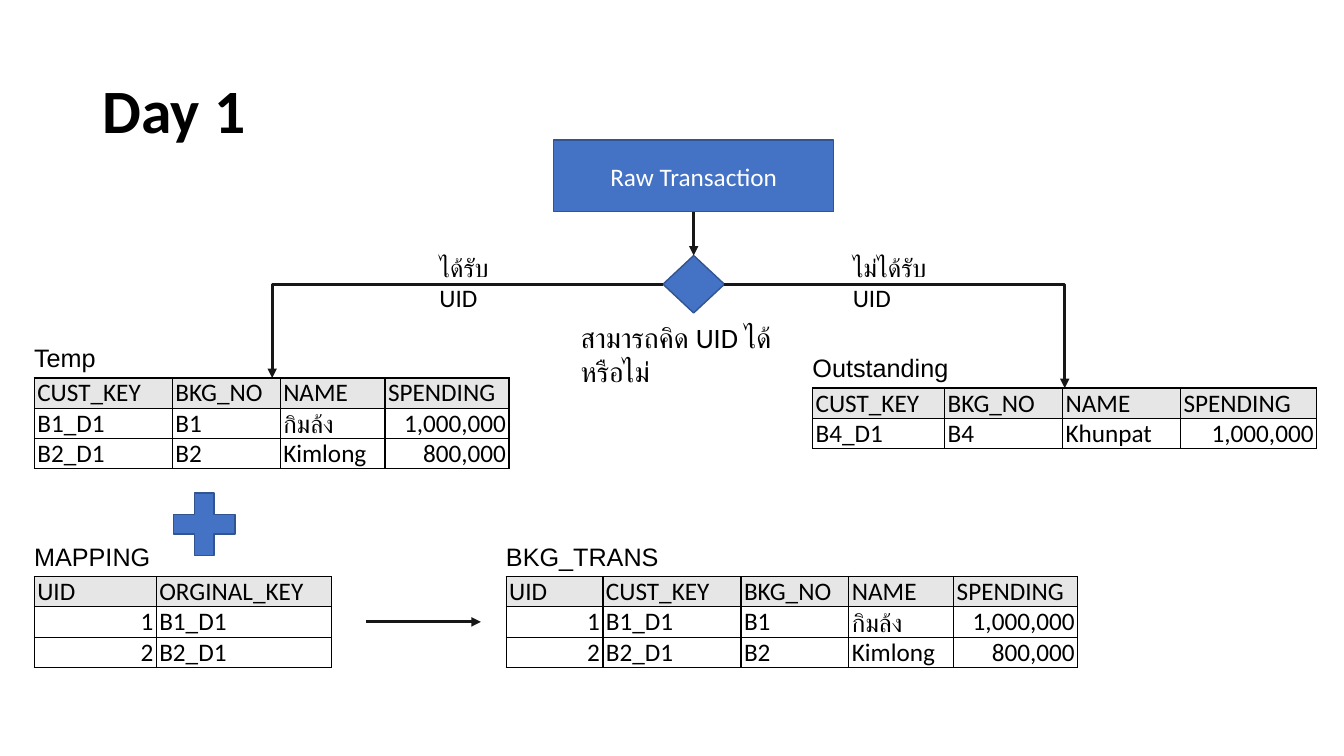
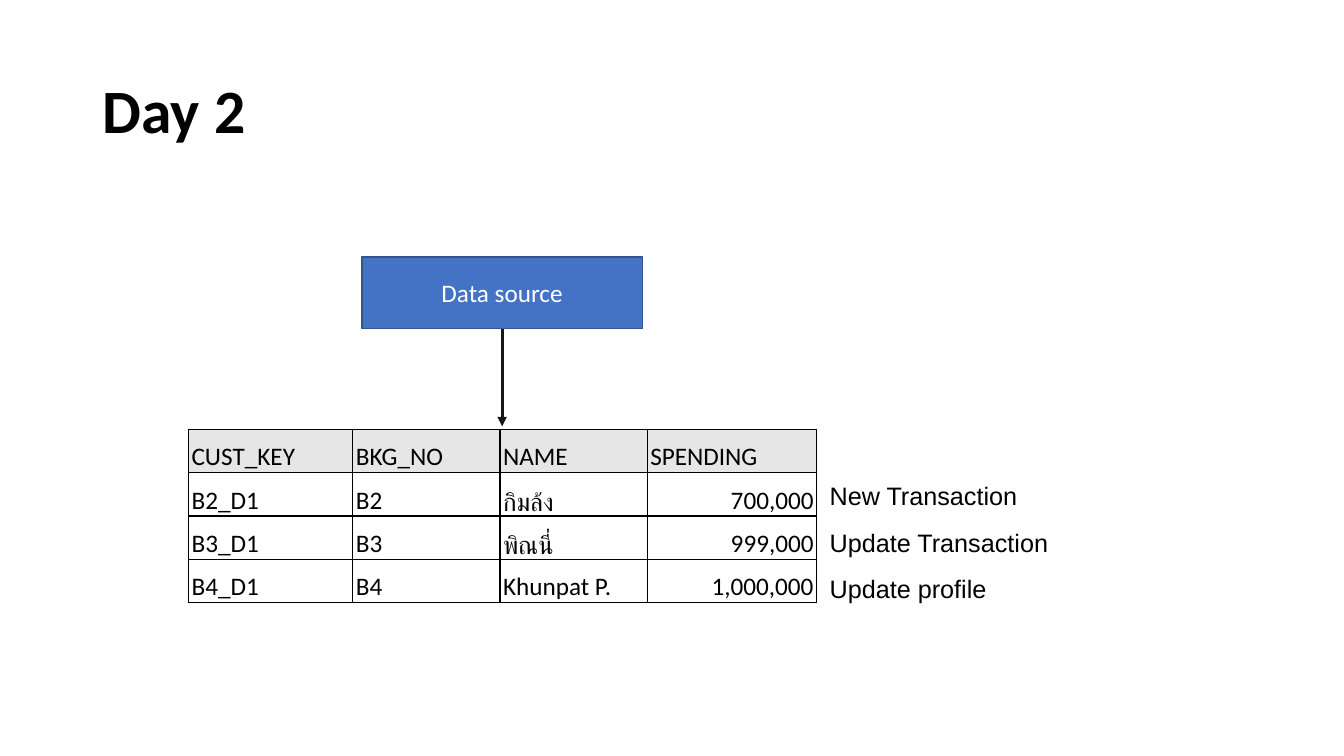
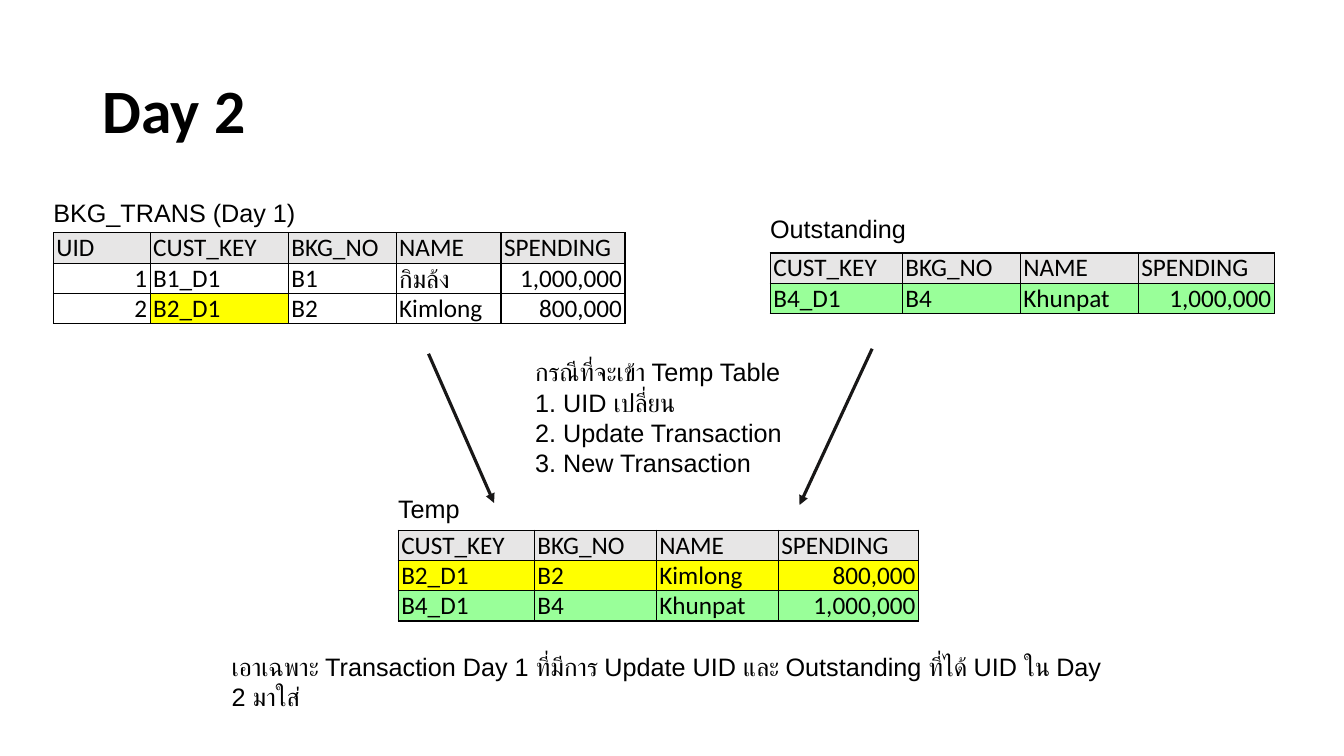
from lxml import etree
from pptx import Presentation
from pptx import util as u
from pptx.dml.color import RGBColor
from pptx.enum import shapes, text
from pptx.oxml.ns import qn

# Shared style
BLACK = RGBColor(0x00, 0x00, 0x00)
WHITE = RGBColor(0xFF, 0xFF, 0xFF)
BLUE = RGBColor(0x44, 0x72, 0xC4)
NAVY = RGBColor(0x32, 0x54, 0x91)
INK = RGBColor(0x18, 0x17, 0x17)
GRAY = RGBColor(0xE7, 0xE6, 0xE6)
YELLOW = RGBColor(0xFF, 0xFF, 0x00)
GREEN = RGBColor(0x99, 0xFF, 0x99)
BODY, LABEL = "Calibri", "Arial"
SHAPE, LINE = shapes.MSO_SHAPE, shapes.MSO_CONNECTOR
SLIDE_W, SLIDE_H = 13.33, 7.5
ROW_H = 0.3
BOX_W, BOX_H = 2.78, 0.71

# Shared table content
HEAD = ["CUST_KEY", "BKG_NO", "NAME", "SPENDING"]
DAY1_ROWS = [["B1_D1", "B1", "กิมล้ง", "1,000,000"],
             ["B2_D1", "B2", "Kimlong", "800,000"]]
OUTSTANDING = [HEAD, ["B4_D1", "B4", "Khunpat", "1,000,000"]]
BKG_TRANS = [["UID"] + HEAD] + [[str(n)] + row for n, row in enumerate(DAY1_ROWS, 1)]
DAY1_COLS = [1.37, 1.07, 1.04, 1.23]
BKG_COLS = [0.96] + DAY1_COLS
OUT_COLS = [1.31, 1.17, 1.17, 1.35]


def inches(*values):
    return [u.Inches(v) for v in values]


def set_font(p, size=18, name=BODY, color=BLACK, bold=False):
    p.font.size, p.font.name, p.font.bold = u.Pt(size), name, bold
    p.font.color.rgb = color


def titled_slide(prs, title):
    s = prs.slides.add_slide(prs.slide_layouts[5])
    sp = s.shapes.title
    sp.left, sp.top, sp.width, sp.height = inches(0.92, 0.4, 11.5, 1.45)
    tf = sp.text_frame
    tf.text = title
    tf.word_wrap, tf.auto_size = True, text.MSO_AUTO_SIZE.NONE
    tf.vertical_anchor = text.MSO_ANCHOR.MIDDLE
    p = tf.paragraphs[0]
    p.alignment, p.line_spacing = text.PP_ALIGN.LEFT, 0.9
    set_font(p, 44, bold=True)
    return s


def add_text(s, x, y, w, lines, size=18, name=LABEL, h=0.4):
    tf = s.shapes.add_textbox(*inches(x, y, w, h)).text_frame
    tf.word_wrap = True
    tf.text = "\n".join(lines)
    for p in tf.paragraphs:
        set_font(p, size, name)


def add_block(s, kind, x, y, w, h, label=""):
    sp = s.shapes.add_shape(kind, *inches(x, y, w, h))
    sp.shadow.inherit = False
    sp.fill.solid()
    sp.fill.fore_color.rgb = BLUE
    sp.line.color.rgb, sp.line.width = NAVY, u.Pt(1)
    if label:
        tf = sp.text_frame
        tf.text = label
        tf.vertical_anchor = text.MSO_ANCHOR.MIDDLE
        tf.paragraphs[0].alignment = text.PP_ALIGN.CENTER
        set_font(tf.paragraphs[0], color=WHITE)
    return sp


def add_arrow(s, start, end, kind=LINE.STRAIGHT):
    line = s.shapes.add_connector(kind, *inches(*start, *end))
    line.line.color.rgb, line.line.width = INK, u.Pt(2.25)
    etree.SubElement(line.line._get_or_add_ln(), qn("a:tailEnd"), type="triangle")
    sp_pr = line._element.spPr
    etree.SubElement(sp_pr, qn("a:effectLst"))
    if kind == LINE.ELBOW:
        sp_pr.find(qn("a:prstGeom")).set("prst", "bentConnector2")
    return line


def add_borders(cell):
    tc_pr = cell._tc.get_or_add_tcPr()
    for side in ("lnL", "lnR", "lnT", "lnB"):
        ln = etree.SubElement(tc_pr, qn("a:" + side), w=str(u.Pt(1)))
        fill = etree.SubElement(ln, qn("a:solidFill"))
        etree.SubElement(fill, qn("a:srgbClr"), val=str(BLACK))


def add_table(s, x, y, cols, rows, label=None, gap=0.4, row_h=ROW_H, marks=None):
    """Grid with an optional label above; marks maps a row or (row, column) to a fill."""
    marks = {0: GRAY, **(marks or {})}
    if label:
        add_text(s, x - 0.1, y - gap, 2.88, [label])
    table = s.shapes.add_table(len(rows), len(cols),
                               *inches(x, y, sum(cols), row_h * len(rows))).table
    table.first_row = table.horz_banding = False
    for column, w in zip(table.columns, cols):
        column.width = u.Inches(w)
    for r, row in enumerate(rows):
        table.rows[r].height = u.Inches(row_h)
        for c, value in enumerate(row):
            cell = table.cell(r, c)
            cell.text = value
            cell.margin_left = cell.margin_right = u.Inches(0.03)
            cell.margin_top = cell.margin_bottom = 0
            cell.vertical_anchor = text.MSO_ANCHOR.BOTTOM
            p = cell.text_frame.paragraphs[0]
            set_font(p)
            if value.replace(",", "").isdigit():
                p.alignment = text.PP_ALIGN.RIGHT
            add_borders(cell)
            color = marks.get((r, c), marks.get(r))
            if color is None:
                cell.fill.background()
            else:
                cell.fill.solid()
                cell.fill.fore_color.rgb = color


def decision_flow(s, x, y):
    """Source box, decision and its two branches, from the box's top left corner."""
    mid, fork_y = x + BOX_W / 2, y + 1.43
    source = add_block(s, SHAPE.RECTANGLE, x, y, BOX_W, BOX_H, "Raw Transaction")
    w, h = 0.61, 0.57
    decision = add_block(s, SHAPE.FLOWCHART_DECISION, mid - w / 2, fork_y - h / 2, w, h)
    down = add_arrow(s, (mid, y + BOX_H), (mid, fork_y - h / 2))
    down.begin_connect(source, 2)
    down.end_connect(decision, 0)
    for side, end, site in ((-1, (2.7, 3.75), 1), (1, (10.56, 3.85), 3)):
        branch = add_arrow(s, (mid + side * w / 2, fork_y), end, LINE.ELBOW)
        branch.begin_connect(decision, site)
    add_text(s, x + 0.17, y + 1.74, 2.3, ["สามารถคิด UID ได้หรือไม่"], 20, BODY)
    add_text(s, x - 1.23, y + 1.06, 0.99, ["ได้รับ UID"], name=BODY)
    add_text(s, x + 2.87, y + 1.06, 1.16, ["ไม่ได้รับ UID"], name=BODY)


def day1_slide(prs):
    s = titled_slide(prs, "Day 1")
    decision_flow(s, 5.49, 1.39)
    # Branch results
    add_table(s, 0.34, 3.75, DAY1_COLS, [HEAD] + DAY1_ROWS, "Temp")
    add_table(s, 8.06, 3.85, OUT_COLS, OUTSTANDING, "Outstanding")
    # Temp plus mapping gives the transactions
    add_block(s, SHAPE.MATH_PLUS, 1.61, 4.78, 0.83, 0.84)
    mapping = [["UID", "ORGINAL_KEY"], ["1", "B1_D1"], ["2", "B2_D1"]]
    add_table(s, 0.34, 5.72, [1.21, 1.74], mapping, "MAPPING")
    add_arrow(s, (3.63, 6.17), (4.77, 6.17))
    add_table(s, 5.02, 5.72, BKG_COLS, BKG_TRANS, "BKG_TRANS")


def day2_source_slide(prs):
    s = titled_slide(prs, "Day 2")
    x, y, row_h = 1.87, 4.26, 0.43
    # Source box feeding the table
    source = add_block(s, SHAPE.RECTANGLE, 3.59, 2.55, BOX_W, BOX_H, "Data source")
    add_arrow(s, (4.98, 3.26), (4.98, 4.23)).begin_connect(source, 2)
    rows = [HEAD,
            ["B2_D1", "B2", "กิมล้ง", "700,000"],
            ["B3_D1", "B3", "พิณนี่", "999,000"],
            ["B4_D1", "B4", "Khunpat P.", "1,000,000"]]
    add_table(s, x, y, [1.63, 1.46, 1.46, 1.68], rows, row_h=row_h,
              marks={r: WHITE for r in (2, 3)})
    # What each row changes
    for i, note in enumerate(["New Transaction", "Update Transaction", "Update profile"]):
        add_text(s, 8.13, y + 0.46 * (i + 1), 5, [note])


def day2_merge_slide(prs):
    s = titled_slide(prs, "Day 2")
    # Inputs
    add_table(s, 0.53, 2.31, BKG_COLS, BKG_TRANS, "BKG_TRANS (Day 1)",
              marks={(2, 1): YELLOW})
    add_table(s, 7.64, 2.51, OUT_COLS, OUTSTANDING, "Outstanding", 0.44, marks={1: GREEN})
    # Rules for entering the temp table
    add_arrow(s, (4.25, 3.51), (4.9, 4.99))
    add_arrow(s, (8.65, 3.46), (7.93, 5.01))
    add_text(s, 5.21, 3.49, 2.9, ["กรณีที่จะเข้า Temp Table", "1. UID เปลี่ยน",
                                  "2. Update Transaction", "3. New Transaction"], h=1.62)
    # Result
    add_table(s, 3.95, 5.26, [1.35, 1.21, 1.21, 1.39],
              [HEAD, DAY1_ROWS[1], OUTSTANDING[1]], "Temp", 0.42,
              marks={1: YELLOW, 2: GREEN})
    add_text(s, 2.2, 6.41, 8.93, ["เอาเฉพาะ Transaction Day 1 ที่มีการ Update UID และ "
                                  "Outstanding ที่ได้ UID ใน Day 2 มาใส่"])


def main():
    prs = Presentation()
    prs.slide_width, prs.slide_height = inches(SLIDE_W, SLIDE_H)
    for build in (day1_slide, day2_source_slide, day2_merge_slide):
        build(prs)
    prs.save("out.pptx")


if __name__ == "__main__":
    main()
